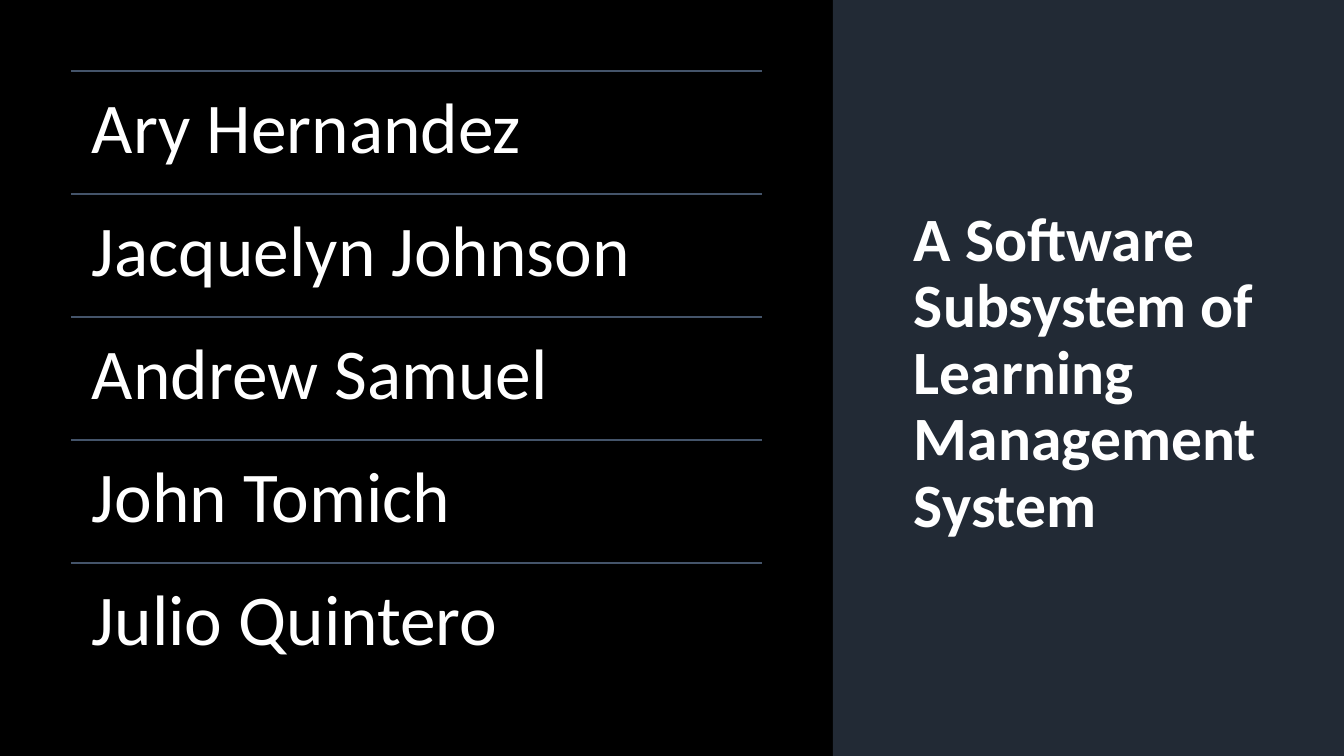
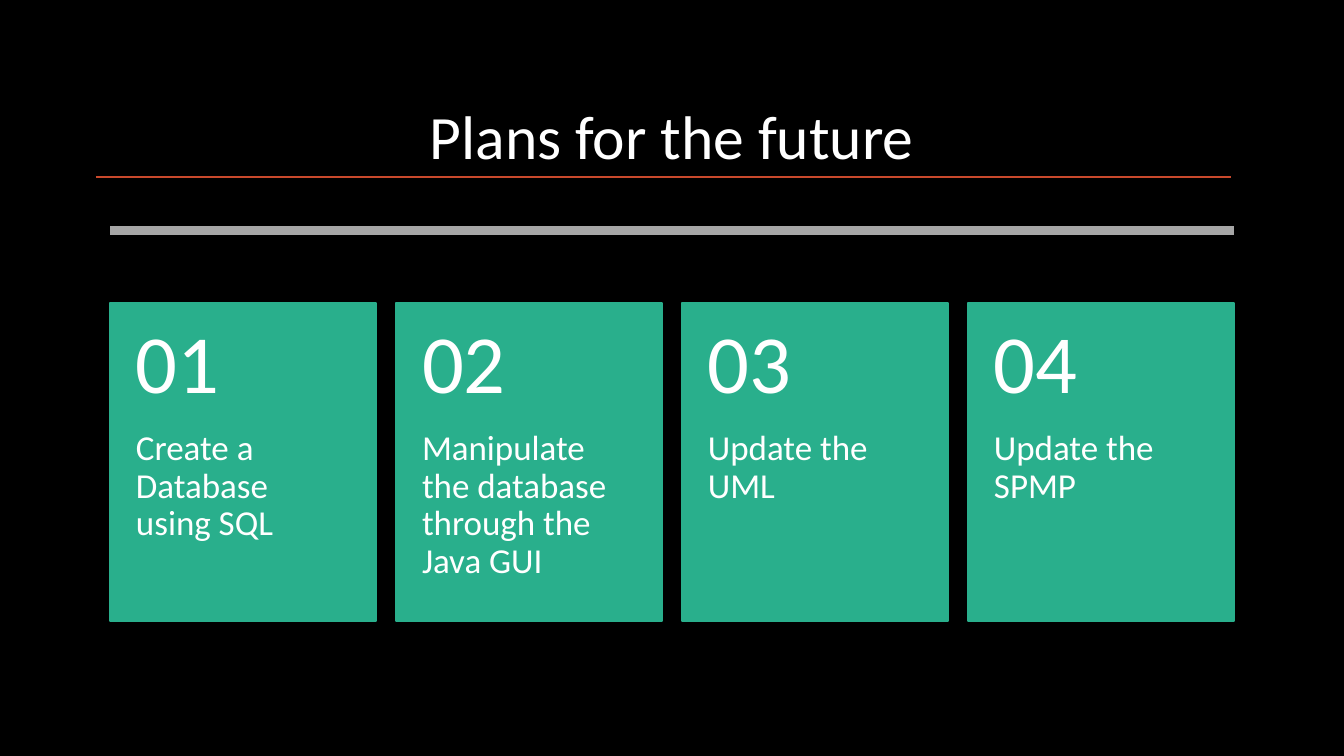
from lxml import etree
from pptx import Presentation
from pptx.dml.color import RGBColor
from pptx.enum.shapes import MSO_CONNECTOR, MSO_SHAPE
from pptx.enum.text import MSO_ANCHOR, PP_ALIGN
from pptx.oxml.ns import qn
from pptx.util import Emu, Pt

RECT = MSO_SHAPE.RECTANGLE
LINE = MSO_CONNECTOR.STRAIGHT
TOP, MID = MSO_ANCHOR.TOP, MSO_ANCHOR.MIDDLE
LEFT, CENTER = PP_ALIGN.LEFT, PP_ALIGN.CENTER

# Content
TOPIC = "A Software Subsystem of Learning Management System"
TEAM = ["Ary Hernandez", "Jacquelyn Johnson", "Andrew Samuel",
        "John Tomich", "Julio Quintero"]
HEADING = "Plans for the future"
PLANS = ["Create a Database using SQL",
         "Manipulate the database through the Java GUI",
         "Update the UML",
         "Update the SPMP"]

# Shared style
COLORS = {"back": "000000", "text": "FFFFFF", "panel": "222A35",
          "rule": "44546A", "card": "29AF8C", "accent": "C9492C"}
FONT = "Calibri"
TITLE = 44
WIDE, HIGH = 1344, 756
INSET = (10, 5, 10, 5)


def px(n):
    return Emu(round(n * 914400 / 100.8))


def color(name):
    return RGBColor.from_string(COLORS[name])


def add_slide(deck):
    slide = deck.slides.add_slide(deck.slide_layouts[6])
    fill = slide.background.fill
    fill.solid()
    fill.fore_color.rgb = color("back")
    return slide


def add_box(slide, area, name, alpha=None):
    box = slide.shapes.add_shape(RECT, *map(px, area))
    box.shadow.inherit = False
    box.fill.solid()
    box.fill.fore_color.rgb = color(name)
    box.line.fill.background()
    if alpha:
        tint = box.fill._xPr.find(qn("a:solidFill"))[0]
        etree.SubElement(tint, qn("a:alpha")).set("val", str(alpha * 1000))
    return box


def add_rule(slide, left, right, y, name, width):
    rule = slide.shapes.add_connector(LINE, px(left), px(y), px(right), px(y))
    rule.line.color.rgb = color(name)
    rule.line.width = Pt(width)
    etree.SubElement(rule._element.spPr, qn("a:effectLst"))


def add_text(slide, area, text, size, inset=INSET, anchor=TOP, align=LEFT,
             bold=False):
    frame = slide.shapes.add_textbox(*map(px, area)).text_frame
    frame.word_wrap = True
    frame.vertical_anchor = anchor
    (frame.margin_left, frame.margin_top,
     frame.margin_right, frame.margin_bottom) = map(px, inset)
    frame.text = text
    para = frame.paragraphs[0]
    para.alignment = align
    para.line_spacing = 0.9
    font = para.runs[0].font
    font.name, font.size, font.bold = FONT, Pt(size), bold
    font.color.rgb = color("text")


def add_title(slide, area, text, **style):
    add_text(slide, area, text, TITLE, anchor=MID, **style)


def build_team(deck):
    slide = add_slide(deck)
    # Side panel
    side = 833
    add_box(slide, (side, 0, WIDE - side, HIGH), "panel")
    add_title(slide, (904, 71, 404, 607), TOPIC, bold=True)
    # Ruled list of names
    left, top, width, step = 71, 71, 691, 123
    for i, name in enumerate(TEAM):
        y = top + i * step
        add_rule(slide, left, left + width, y, "rule", 1)
        add_text(slide, (left, y, width, step), name, 51, (21,) * 4)


def build_plans(deck):
    slide = add_slide(deck)
    add_title(slide, (96, 67, 1152, 146), HEADING, align=CENTER)
    # Numbered cards
    left, top, width, height, gap, head = 110, 303, 266, 318, 20, 127
    step = width + gap
    span = len(PLANS) * step - gap
    add_box(slide, (left, 226, span, 9), "text", 65)
    for i, plan in enumerate(PLANS):
        x = left + i * step
        card = add_box(slide, (x, top, width, height), "card")
        card.line.color.rgb = color("card")
        card.line.width = Pt(1)
        add_text(slide, (x, top + head, width, height - head), plan, 25,
                 (26, 0, 26, 36))
        add_text(slide, (x, top, width, head), f"{i + 1:02}", 59,
                 (26, 18, 26, 18), MID)
    # Line under the title
    add_rule(slide, 96, 1231, 177, "accent", 1.75)


def main():
    deck = Presentation()
    deck.slide_width, deck.slide_height = px(WIDE), px(HIGH)
    build_team(deck)
    build_plans(deck)
    deck.save("out.pptx")


if __name__ == "__main__":
    main()
